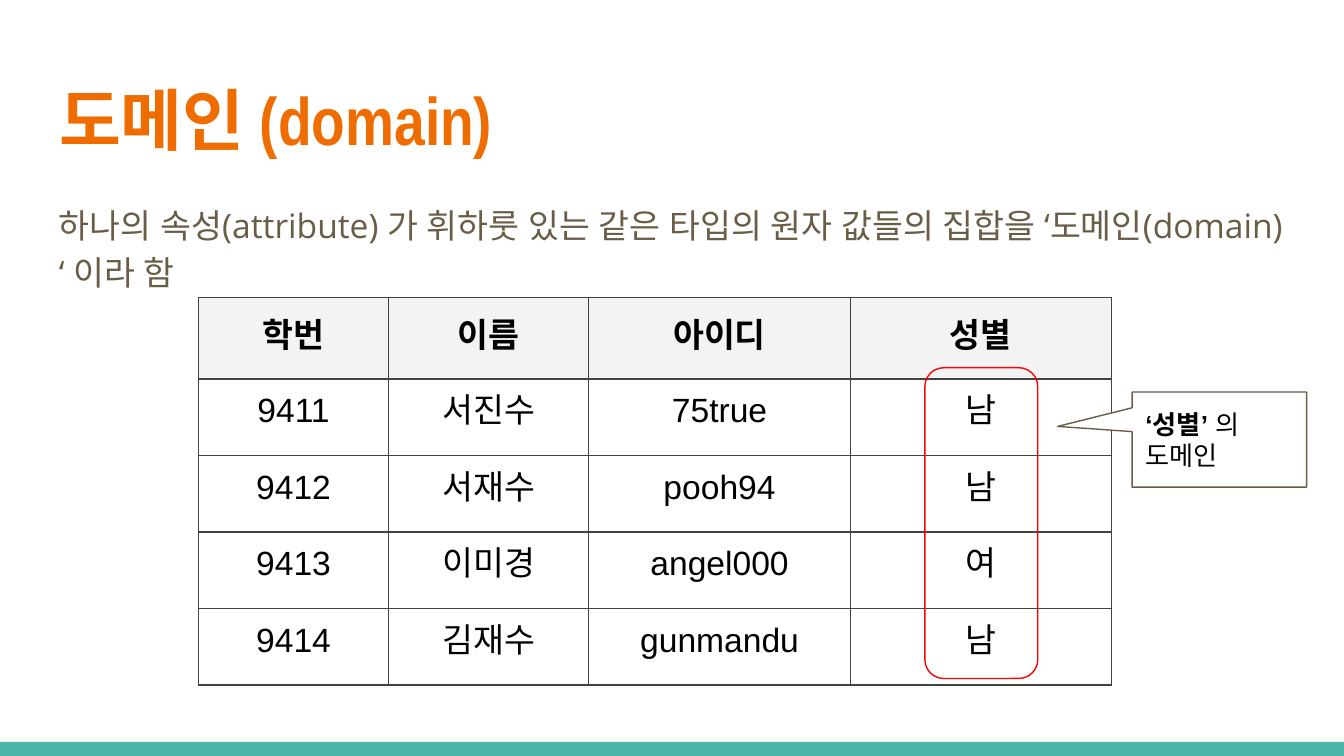
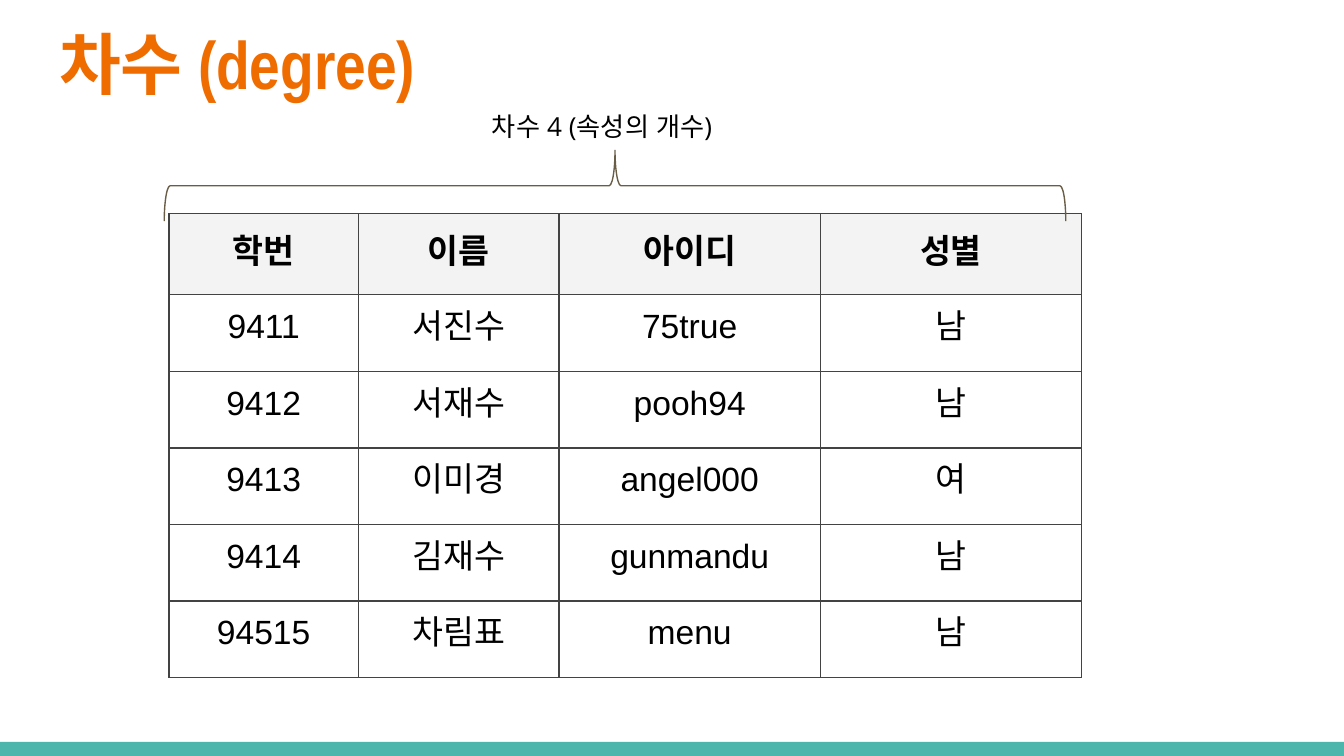
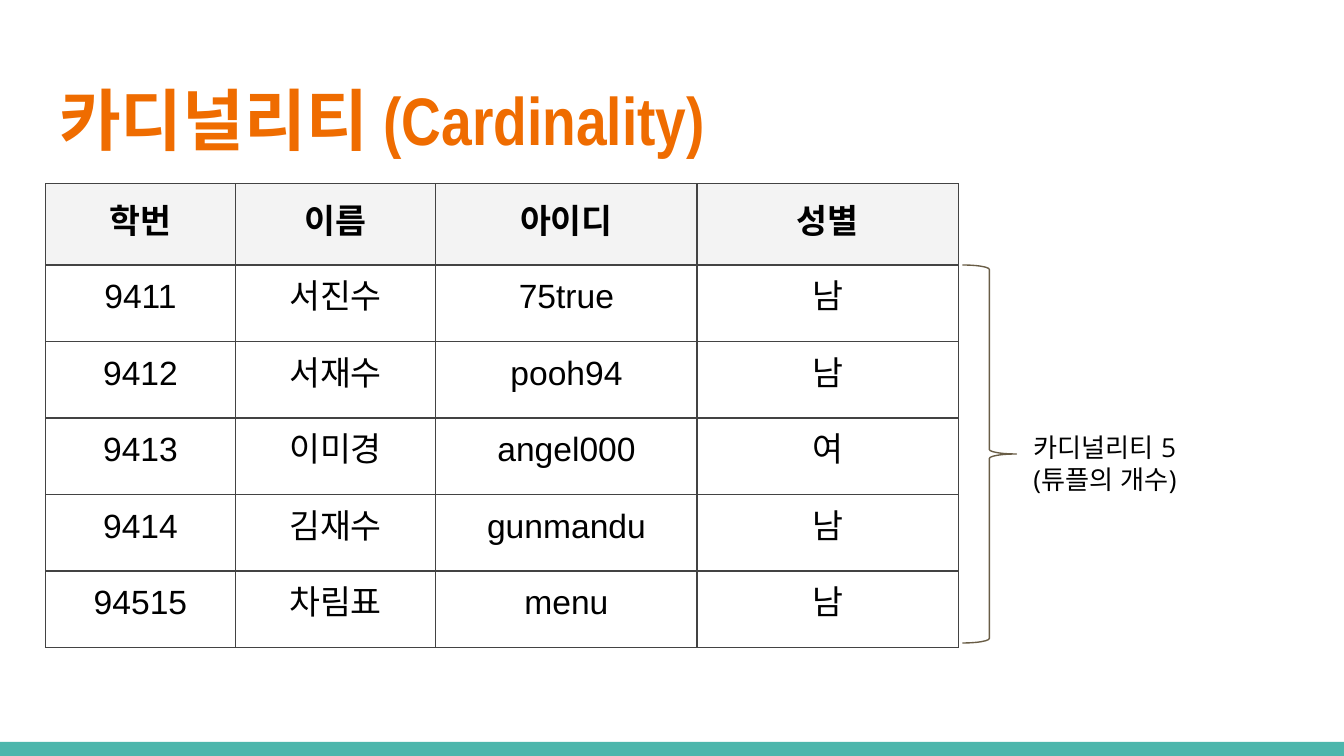
from lxml import etree
from pptx import Presentation
from pptx.dml.color import RGBColor
from pptx.enum.shapes import MSO_SHAPE
from pptx.enum.text import MSO_ANCHOR, MSO_AUTO_SIZE, PP_ALIGN
from pptx.oxml.ns import qn
from pptx.util import Pt

RECT = MSO_SHAPE.RECTANGLE
ROUND = MSO_SHAPE.ROUNDED_RECTANGLE
CALL = MSO_SHAPE.RECTANGULAR_CALLOUT
BRACE = MSO_SHAPE.RIGHT_BRACE
TOP, MID = MSO_ANCHOR.TOP, MSO_ANCHOR.MIDDLE
LEFT, MIDST = PP_ALIGN.LEFT, PP_ALIGN.CENTER
FIXED = MSO_AUTO_SIZE.NONE

TEAL, ORANGE, BROWN = "4DB6AC", "EF6C00", "695D46"
GRID, PALE, BLACK, WHITE, RED = "434343", "F3F3F3", "000000", "FFFFFF", "FF0000"
SANS, THIN, OPEN = "Arial", "Arial Narrow", "Open Sans"

WIDE, HIGH = 720, 405
PAD, EDGE, THICK = 7.2, 24.5, 0.75
COLS = (101.5, 107.5, 140, 140)
HEAD_H, ROW_H = 43.5, 41

HEAD = ("학번", "이름", "아이디", "성별")
ROWS = [
    ("9411", "서진수", "75true", "남"),
    ("9412", "서재수", "pooh94", "남"),
    ("9413", "이미경", "angel000", "여"),
    ("9414", "김재수", "gunmandu", "남"),
    ("94515", "차림표", "menu", "남"),
]
PAGES = [
    {"title": "도메인 (domain)", "top": 35, "table": (106.5, 159.5), "rows": 4},
    {"title": "차수 (degree)", "top": 5, "table": (90.5, 114.5), "rows": 5},
    {"title": "카디널리티 (Cardinality)", "top": 35, "table": (24.5, 98.5), "rows": 5},
]
INTRO = "하나의 속성(attribute) 가 휘하룻 있는 같은 타입의 원자 값들의 집합을 ‘도메인(domain) ‘ 이라 함"
DEGREE = "차수 4 (속성의 개수)"
COUNT = "카디널리티 5\n(튜플의 개수)"


def rgb(code):
    return RGBColor.from_string(code)


def place(shape, box):
    shape.left, shape.top, shape.width, shape.height = map(Pt, box)


def inset(part):
    part.margin_left = part.margin_right = Pt(PAD)
    part.margin_top = part.margin_bottom = Pt(PAD)


def style(frame, size, face, color=BLACK, bold=False, align=LEFT):
    for para in frame.paragraphs:
        para.alignment = align
        for run in para.runs:
            font = run.font
            font.size, font.name, font.bold = Pt(size), face, bold
            font.color.rgb = rgb(color)
            east = etree.SubElement(run._r.get_or_add_rPr(), qn("a:ea"))
            east.set("typeface", face)


def setup(frame, anchor=TOP):
    frame.word_wrap = True
    frame.auto_size = FIXED
    frame.vertical_anchor = anchor
    inset(frame)


def draw(slide, kind, box, fill=None, line=None, adj=()):
    shape = slide.shapes.add_shape(kind, *map(Pt, box))
    shape.shadow.inherit = False
    if fill:
        shape.fill.solid()
        shape.fill.fore_color.rgb = rgb(fill)
    else:
        shape.fill.background()
    if line:
        shape.line.color.rgb = rgb(line)
        shape.line.width = Pt(THICK)
    else:
        shape.line.fill.background()
    for i, value in enumerate(adj):
        shape.adjustments[i] = value
    return shape


def label(slide, text, box, size=14, color=BLACK):
    frame = slide.shapes.add_textbox(*map(Pt, box)).text_frame
    setup(frame)
    frame.text = text
    style(frame, size, OPEN, color)
    return frame


def border(cell):
    props = cell._tc.get_or_add_tcPr()
    for side in ("lnL", "lnR", "lnT", "lnB"):
        line = etree.SubElement(props, qn("a:" + side), w=str(Pt(THICK)))
        fill = etree.SubElement(line, qn("a:solidFill"))
        etree.SubElement(fill, qn("a:srgbClr"), val=GRID)


def grid(slide, spot, count):
    data = [HEAD] + ROWS[:count]
    size = sum(COLS), HEAD_H + ROW_H * count
    table = slide.shapes.add_table(len(data), len(COLS), *map(Pt, spot + size)).table
    table.first_row = table.horz_banding = False
    for col, width in zip(table.columns, COLS):
        col.width = Pt(width)
    for r, values in enumerate(data):
        head = r == 0
        table.rows[r].height = Pt(HEAD_H if head else ROW_H)
        for c, value in enumerate(values):
            cell = table.cell(r, c)
            cell.text = value
            inset(cell)
            border(cell)
            style(cell.text_frame, 18, SANS, bold=head, align=MIDST)
            if head:
                cell.fill.solid()
                cell.fill.fore_color.rgb = rgb(PALE)
                cell.text_frame.paragraphs[0].line_spacing = 1.15
            else:
                cell.fill.background()


def start(deck, page):
    slide = deck.slides.add_slide(deck.slide_layouts[5])
    draw(slide, RECT, (0, 397.5, WIDE, 7.5), TEAL)
    title = slide.shapes.title
    place(title, (EDGE, page["top"], WIDE - 2 * EDGE, 55.5))
    setup(title.text_frame)
    title.text_frame.text = page["title"]
    style(title.text_frame, 36, THIN, ORANGE, True)
    grid(slide, page["table"], page["rows"])
    return slide


def domain(slide):
    para = label(slide, INTRO, (EDGE, 99.5, WIDE - 2 * EDGE, 68.5), 18, BROWN).paragraphs[0]
    para.line_spacing = 1.15
    para.space_after = Pt(16)
    draw(slide, ROUND, (495.5, 197, 60.5, 166.5), line=RED, adj=(0.167,))
    note = draw(slide, CALL, (606.5, 210, 93.5, 51), WHITE, BROWN, (-0.927, -0.138))
    frame = note.text_frame
    setup(frame, MID)
    frame.text = "‘성별’\n도메인"
    first = frame.paragraphs[0]
    first.add_run().text = " 의"
    style(frame, 14, SANS)
    first.runs[0].font.bold = True


def degree(slide):
    brace = draw(slide, BRACE, (310.5, -142, 38, 483), line=BROWN, adj=(0.083, 0.5))
    brace.rotation = 270
    label(slide, DEGREE, (256.5, 52, 155, 27.5))


def count(slide):
    draw(slide, BRACE, (515.5, 142, 29, 202.5), line=BROWN, adj=(0.083, 0.5))
    label(slide, COUNT, (546.5, 224, 155, 27.5))


def main():
    deck = Presentation()
    deck.slide_width, deck.slide_height = Pt(WIDE), Pt(HIGH)
    for page, extra in zip(PAGES, (domain, degree, count)):
        extra(start(deck, page))
    deck.save("out.pptx")


if __name__ == "__main__":
    main()
